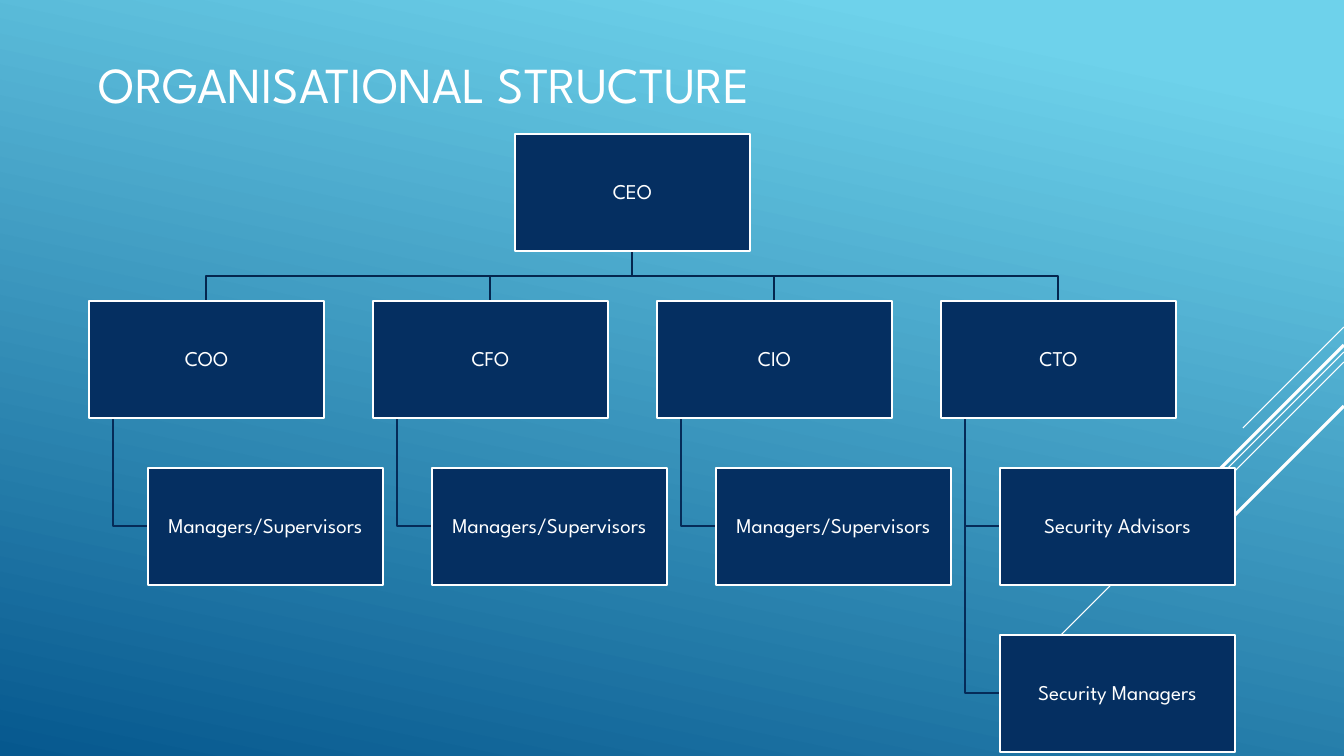
from dataclasses import dataclass

import pptx
import pptx.dml.color
import pptx.enum.shapes
import pptx.enum.text
import pptx.oxml.ns
import pptx.util
from lxml import etree

PX = 914400 / 100.8  # EMU in one px


@dataclass(frozen=True)
class Theme:
    font: str = "League Spartan"
    title_size: int = 36
    label_size: int = 15
    white: str = "FFFFFF"
    navy: str = "052F61"
    rail: str = "04264E"
    branch: str = "052B58"
    sky: str = "6ED2EB"
    deep: str = "06588E"
    outline: float = 1.25


def px(length):
    return pptx.util.Emu(round(length * PX))


def rgb(colour):
    return pptx.dml.color.RGBColor.from_string(colour)


class Canvas:
    def __init__(self, page, theme):
        self.page = page
        self.theme = theme

    def background(self):
        fill = self.page.background.fill
        fill.gradient()
        fill.gradient_angle = 258
        stops = ((0.1, self.theme.sky), (1.0, self.theme.deep))
        for stop, (position, colour) in zip(fill.gradient_stops, stops):
            stop.position = position
            stop.color.rgb = rgb(colour)

    def set_text(self, frame, text, size):
        frame.text = text
        frame.word_wrap = True
        frame.vertical_anchor = pptx.enum.text.MSO_ANCHOR.MIDDLE
        para = frame.paragraphs[0]
        font = para.runs[0].font
        font.name = self.theme.font
        font.size = pptx.util.Pt(size)
        font.color.rgb = rgb(self.theme.white)
        return para

    def stroke(self, shape, colour, width):
        shape.line.color.rgb = rgb(colour)
        shape.line.width = pptx.util.Pt(width)

    def title(self, text, left, top, width, height):
        box = self.page.shapes.add_textbox(px(left), px(top), px(width), px(height))
        self.set_text(box.text_frame, text, self.theme.title_size)

    def line(self, start, end, width):
        line = self.page.shapes.add_connector(
            pptx.enum.shapes.MSO_CONNECTOR.STRAIGHT, *map(px, start + end))
        self.stroke(line, self.theme.white, width)
        etree.SubElement(line.element.spPr, pptx.oxml.ns.qn("a:effectLst"))

    def elbow(self, points, colour):
        """Draw an open, unfilled path through the points."""
        builder = self.page.shapes.build_freeform(*points[0], scale=PX)
        builder.add_line_segments(points[1:], close=False)
        bend = builder.convert_to_shape()
        bend.shadow.inherit = False
        bend.fill.background()
        self.stroke(bend, colour, self.theme.outline)

    def role(self, text, left, top, width, height):
        box = self.page.shapes.add_shape(
            pptx.enum.shapes.MSO_SHAPE.RECTANGLE,
            px(left), px(top), px(width), px(height))
        box.shadow.inherit = False
        box.fill.solid()
        box.fill.fore_color.rgb = rgb(self.theme.navy)
        self.stroke(box, self.theme.white, self.theme.outline)
        frame = box.text_frame
        frame.margin_left = frame.margin_right = px(1)
        frame.margin_top = frame.margin_bottom = px(1)
        para = self.set_text(frame, text, self.theme.label_size)
        para.alignment = pptx.enum.text.PP_ALIGN.CENTER
        para.line_spacing = 0.9


RAYS = [  # distance down the right edge, diagonal run, line width
    (327, 101, 0.75),
    (352, 329, 0.75),
    (362, 209, 0.75),
    (345, 192, 2.25),
    (406, 140, 2.25),
]
CHIEF = "CEO"
TEAMS = [
    ("COO", ["Managers/Supervisors"]),
    ("CFO", ["Managers/Supervisors"]),
    ("CIO", ["Managers/Supervisors"]),
    ("CTO", ["Security Advisors", "Security Managers"]),
]
SLIDE_WIDTH, SLIDE_HEIGHT = 1344, 756
BOX_WIDTH, BOX_HEIGHT = 235, 117
LEFT, TOP = 89, 134
COLUMN_STEP, ROW_STEP = 284, 167
INDENT, TRUNK = 59, 24


def row_top(row):
    return TOP + row * ROW_STEP


def draw_chart(canvas):
    theme = canvas.theme
    chief_left = LEFT + COLUMN_STEP * (len(TEAMS) - 1) // 2
    chief_middle = chief_left + BOX_WIDTH // 2
    chief_bottom = TOP + BOX_HEIGHT
    rail = (chief_bottom + row_top(1)) // 2
    boxes = [(CHIEF, chief_left, TOP)]

    for column, (officer, reports) in enumerate(TEAMS):
        left = LEFT + column * COLUMN_STEP
        middle = left + BOX_WIDTH // 2
        canvas.elbow([(chief_middle, chief_bottom), (chief_middle, rail),
                      (middle, rail), (middle, row_top(1))], theme.rail)
        boxes.append((officer, left, row_top(1)))
        for row, report in enumerate(reports, start=2):
            level = row_top(row) + BOX_HEIGHT // 2
            canvas.elbow([(left + TRUNK, row_top(1) + BOX_HEIGHT),
                          (left + TRUNK, level), (left + INDENT, level)],
                         theme.branch)
            boxes.append((report, left + INDENT, row_top(row)))

    for text, left, top in boxes:
        canvas.role(text, left, top, BOX_WIDTH, BOX_HEIGHT)


def main():
    deck = pptx.Presentation()
    deck.slide_width, deck.slide_height = px(SLIDE_WIDTH), px(SLIDE_HEIGHT)
    page = deck.slides.add_slide(deck.slide_layouts[6])
    canvas = Canvas(page, Theme())
    canvas.background()
    for top, run, width in RAYS:
        canvas.line((SLIDE_WIDTH, top), (SLIDE_WIDTH - run, top + run), width)
    canvas.title("ORGANISATIONAL STRUCTURE", 89, 0, 940, 166)
    draw_chart(canvas)
    deck.save("out.pptx")


if __name__ == "__main__":
    main()
